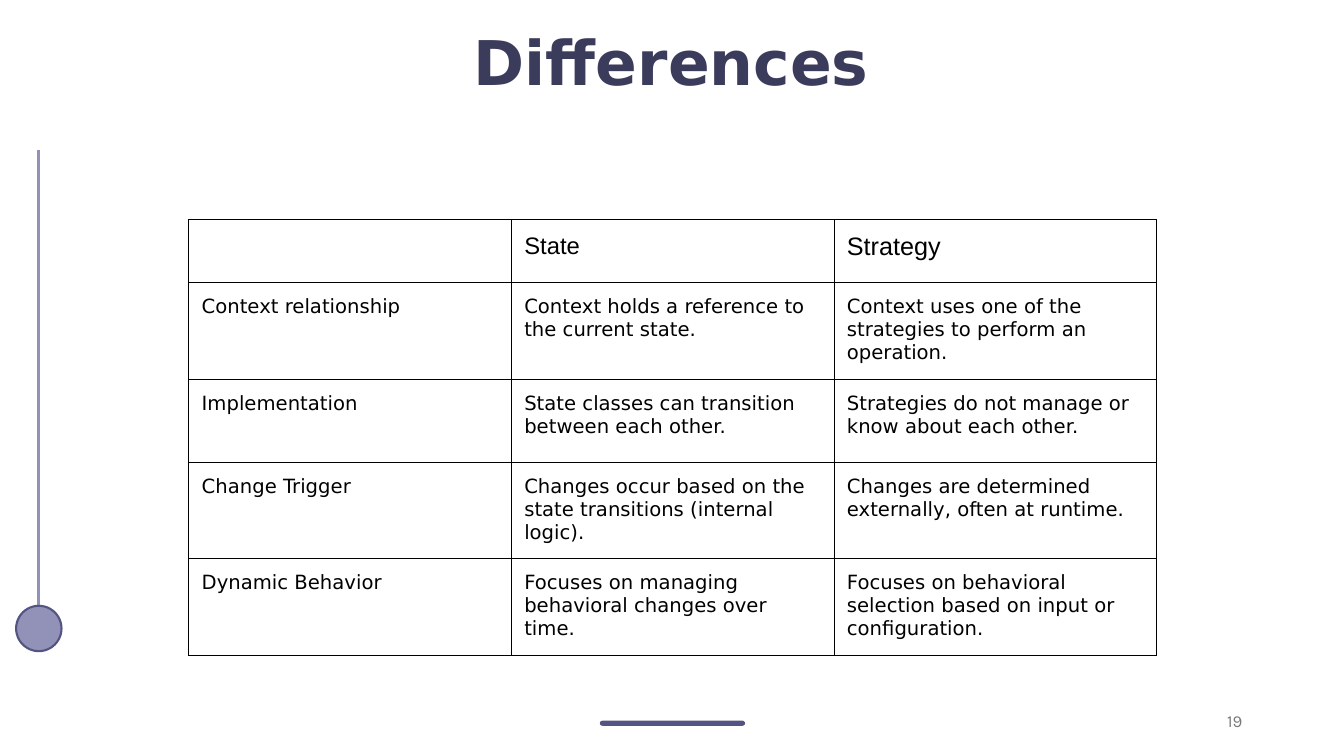
from dataclasses import dataclass

from lxml.etree import SubElement
from pptx import Presentation
from pptx.dml.color import RGBColor
from pptx.enum.shapes import MSO_CONNECTOR as CONNECTOR, MSO_SHAPE as SHAPE
from pptx.enum.text import MSO_ANCHOR as ANCHOR, PP_ALIGN as ALIGN
from pptx.oxml.ns import qn
from pptx.util import Emu, Pt

PX = 9144  # EMU per px, 100 px to the inch

NAVY = RGBColor(0x3B, 0x3B, 0x5B)
INDIGO = RGBColor(0x54, 0x54, 0x82)
LAVENDER = RGBColor(0x92, 0x92, 0xB8)
GRAY = RGBColor(0x79, 0x79, 0x79)
BLACK = RGBColor(0, 0, 0)


@dataclass
class Font:
    name: str
    size: int
    color: RGBColor
    bold: bool = False


@dataclass
class Label:
    text: str
    box: tuple[int, int, int, int]
    font: Font
    align: ALIGN
    anchor: ANCHOR
    top_inset: int


@dataclass
class Ornament:
    kind: SHAPE
    box: tuple[int, int, int, int]
    fill: RGBColor
    line: RGBColor | None = None


LABELS = [
    Label("Differences", (328, 15, 676, 84), Font("DejaVu Sans", 44, NAVY, True),
          ALIGN.CENTER, ANCHOR.TOP, 9),
    Label("19", (942, 695, 300, 40), Font("Karla", 12, GRAY),
          ALIGN.RIGHT, ANCHOR.MIDDLE, 5),
]
ORNAMENTS = [
    Ornament(SHAPE.ROUNDED_RECTANGLE, (595, 715, 144, 5), INDIGO),
    Ornament(SHAPE.OVAL, (16, 601, 45, 45), LAVENDER, INDIGO),
]

ROWS = [
    ("", "State", "Strategy"),
    ("Context relationship", "Context holds a reference to the current state.",
     "Context uses one of the strategies to perform an operation."),
    ("Implementation", "State classes can transition between each other.",
     "Strategies do not manage or know about each other."),
    ("Change Trigger", "Changes occur based on the state transitions (internal logic).",
     "Changes are determined externally, often at runtime."),
    ("Dynamic Behavior", "Focuses on managing behavioral changes over time.",
     "Focuses on behavioral selection based on input or configuration."),
]
ROW_HEIGHTS = [62, 95, 82, 95, 95]
HEADER_FONTS = [Font("Arial", size, BLACK) for size in (18, 17, 18)]
BODY_FONT = Font("DejaVu Sans", 14, BLACK)
TABLE_LEFT, TABLE_TOP, COLUMN_WIDTH, CELL_INSET = 187, 218, 320, 13
OUTER, INNER = Pt(1), Pt(0.25)


def px(*values: int) -> list[Emu]:
    return [Emu(v * PX) for v in values]


def set_font(p, font: Font) -> None:
    f = p.font
    f.name, f.size, f.bold = font.name, Pt(font.size), font.bold
    f.color.rgb = font.color


def add_label(slide, label: Label) -> None:
    tf = slide.shapes.add_textbox(*px(*label.box)).text_frame
    tf.word_wrap = True
    tf.vertical_anchor = label.anchor
    tf.margin_top, tf.margin_bottom = px(label.top_inset, 4)
    p = tf.paragraphs[0]
    p.text, p.alignment = label.text, label.align
    set_font(p, label.font)


def add_ornament(slide, item: Ornament) -> None:
    sp = slide.shapes.add_shape(item.kind, *px(*item.box))
    sp.shadow.inherit = False
    sp.fill.solid()
    sp.fill.fore_color.rgb = item.fill
    if item.kind == SHAPE.ROUNDED_RECTANGLE:
        sp.adjustments[0] = 0.5
    if item.line is None:
        sp.line.fill.background()
    else:
        sp.line.color.rgb = item.line
        sp.line.width = Pt(1.5)


def add_stem(slide) -> None:
    stem = slide.shapes.add_connector(CONNECTOR.STRAIGHT, *px(38, 149, 38, 621))
    stem.line.color.rgb = LAVENDER
    stem.line.width = Pt(2)
    SubElement(stem._element.spPr, qn("a:effectLst"))


def set_borders(cell, widths: dict[str, int]) -> None:
    tc_pr = cell._tc.get_or_add_tcPr()
    for i, (side, width) in enumerate(widths.items()):
        ln = tc_pr.makeelement(qn(f"a:{side}"), {"w": str(width)})
        fill = SubElement(ln, qn("a:solidFill"))
        SubElement(fill, qn("a:srgbClr"), val=str(BLACK))
        tc_pr.insert(i, ln)


def add_comparison(slide) -> None:
    n_rows, n_cols = len(ROWS), len(ROWS[0])
    box = px(TABLE_LEFT, TABLE_TOP, COLUMN_WIDTH * n_cols, sum(ROW_HEIGHTS))
    table = slide.shapes.add_table(n_rows, n_cols, *box).table
    table.first_row = table.horz_banding = False
    for column in table.columns:
        column.width = Emu(COLUMN_WIDTH * PX)
    for r, texts in enumerate(ROWS):
        table.rows[r].height = Emu(ROW_HEIGHTS[r] * PX)
        for c, text in enumerate(texts):
            cell = table.cell(r, c)
            cell.fill.background()
            (cell.margin_left, cell.margin_top,
             cell.margin_right, cell.margin_bottom) = px(*[CELL_INSET] * 4)
            p = cell.text_frame.paragraphs[0]
            p.text = text
            set_font(p, BODY_FONT if r else HEADER_FONTS[c])
            set_borders(cell, {
                "lnL": INNER if c else OUTER,
                "lnR": OUTER if c == n_cols - 1 else INNER,
                "lnT": INNER if r else OUTER,
                "lnB": OUTER if r == n_rows - 1 else INNER,
            })


def main() -> None:
    prs = Presentation()
    prs.slide_width, prs.slide_height = px(1333, 750)
    slide = prs.slides.add_slide(prs.slide_layouts[6])

    # Title and page number
    for label in LABELS:
        add_label(slide, label)

    # Side stem with its ball, and the footer bar
    add_stem(slide)
    for item in ORNAMENTS:
        add_ornament(slide, item)

    # State and Strategy side by side
    add_comparison(slide)

    prs.save("out.pptx")


if __name__ == "__main__":
    main()
